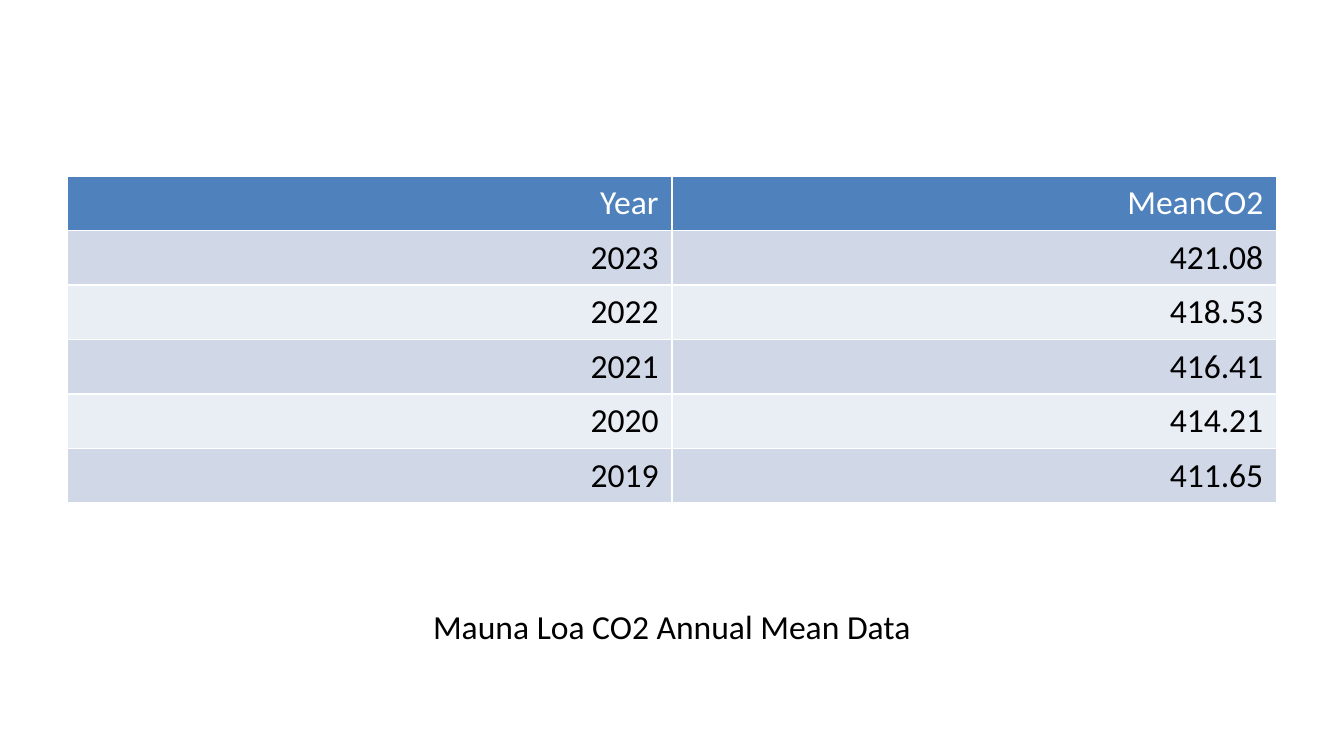
"""Build a slide with a table of annual mean CO2 values and its caption."""
from lxml import etree
from pptx import Presentation
from pptx.dml.color import RGBColor
from pptx.enum.text import PP_ALIGN
from pptx.oxml.ns import qn
from pptx.util import Inches, Pt

RIGHT, CENTER = PP_ALIGN.RIGHT, PP_ALIGN.CENTER
HEADER = ("Year", "MeanCO2")
READINGS = [
    ("2023", "421.08"),
    ("2022", "418.53"),
    ("2021", "416.41"),
    ("2020", "414.21"),
    ("2019", "411.65"),
]
CAPTION = "Mauna Loa CO2 Annual Mean Data"
HEADER_FILL, BAND_FILLS = "4F81BD", ("D0D8E8", "E9EDF4")
WHITE, BLACK = "FFFFFF", "000000"
SLIDE_WIDTH, ASPECT = 10, 16 / 9
LEFT, WIDTH, ROW_HEIGHT = 0.5, 9, 0.4
FONT = {"name": "Calibri", "size": Pt(18), "bold": False}


def write(frame, text, color, alignment):
    paragraph = frame.paragraphs[0]
    paragraph.alignment = alignment
    run = paragraph.add_run()
    run.text = text
    for key, value in FONT.items():
        setattr(run.font, key, value)
    run.font.color.rgb = RGBColor.from_string(color)


def add_borders(cell, color):
    properties = cell._tc.get_or_add_tcPr()
    for side in ("lnL", "lnR", "lnT", "lnB"):
        border = etree.SubElement(properties, qn(f"a:{side}"), w=str(Pt(1)))
        fill = etree.SubElement(border, qn("a:solidFill"))
        etree.SubElement(fill, qn("a:srgbClr"), val=color)


def add_readings(slide):
    rows = [HEADER, *READINGS]
    table = slide.shapes.add_table(
        len(rows), len(HEADER), Inches(LEFT), Inches(1.31),
        Inches(WIDTH), Inches(ROW_HEIGHT * len(rows)),
    ).table
    for r, row in enumerate(rows):
        background = BAND_FILLS[(r - 1) % 2] if r else HEADER_FILL
        for c, text in enumerate(row):
            cell = table.cell(r, c)
            write(cell.text_frame, text, BLACK if r else WHITE, RIGHT)
            add_borders(cell, WHITE)
            cell.fill.solid()
            cell.fill.fore_color.rgb = RGBColor.from_string(background)


def add_caption(slide):
    caption = slide.shapes.add_textbox(
        Inches(LEFT), Inches(4.46), Inches(WIDTH), Inches(0.56)
    ).text_frame
    caption.word_wrap = True
    write(caption, CAPTION, BLACK, CENTER)


def main():
    deck = Presentation()
    deck.slide_width = Inches(SLIDE_WIDTH)
    deck.slide_height = Inches(SLIDE_WIDTH / ASPECT)
    slide = deck.slides.add_slide(deck.slide_layouts[6])
    add_readings(slide)
    add_caption(slide)
    deck.save("out.pptx")


if __name__ == "__main__":
    main()
